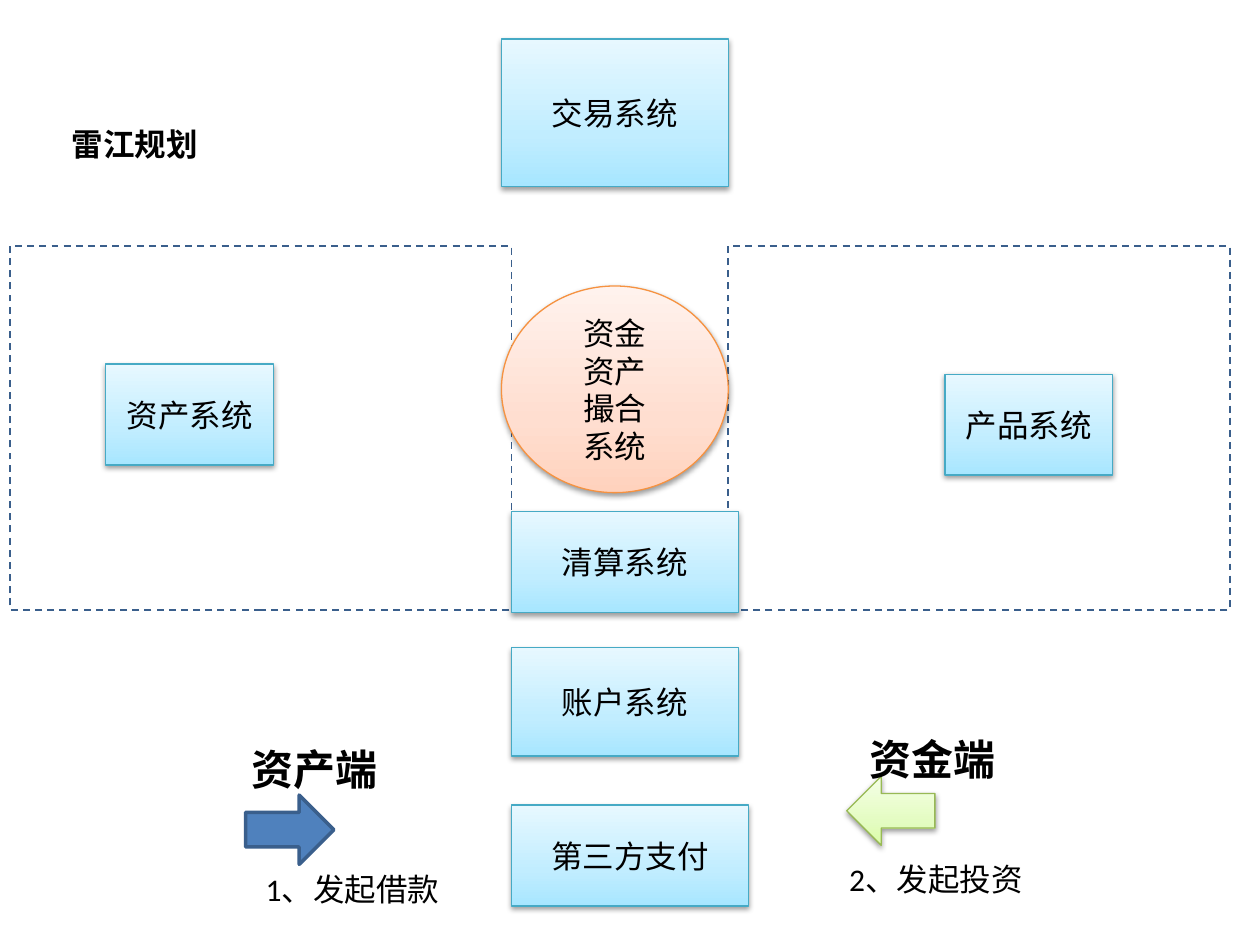
from copy import deepcopy

from lxml import etree
from pptx import Presentation
from pptx.dml.color import RGBColor
from pptx.enum.dml import MSO_LINE
from pptx.enum.shapes import MSO_SHAPE
from pptx.enum.text import MSO_ANCHOR, PP_ALIGN
from pptx.oxml.ns import qn
from pptx.util import Inches, Pt

RECTANGLE, ELLIPSE = MSO_SHAPE.RECTANGLE, MSO_SHAPE.OVAL
LEFT_ARROW, RIGHT_ARROW = MSO_SHAPE.LEFT_ARROW, MSO_SHAPE.RIGHT_ARROW
LEFT, CENTER = PP_ALIGN.LEFT, PP_ALIGN.CENTER
TOP, MIDDLE = MSO_ANCHOR.TOP, MSO_ANCHOR.MIDDLE
DASH = MSO_LINE.DASH

FONT = "Calibri"
WIDTH, HEIGHT = Inches(10), Inches(7.5)
COLUMN, ROW = WIDTH / 100, HEIGHT / 75

COLORS = {"text": "000000", "navy": "3A5F8C", "blue": "4F81BD",
          "aqua": "46AAC5", "orange": "F69240", "green": "98B955"}
GRADIENTS = {"aqua": ("A7E6FF", "C1EDFF", "E7F8FF"),
             "orange": ("FFD2BD", "FFDED0", "FFF2ED"),
             "green": ("DAFDA7", "E4FCC2", "F5FFE7")}
STOPS = (0, 0.35, 1)


def rgb(name):
    """Look up a named colour."""
    return RGBColor.from_string(COLORS[name])


def place(region, cell):
    """Turn a cell relative to a region into left, top, width, height."""
    left, top, width, height = cell
    return (round((region[0] + left) * COLUMN), round((region[1] + top) * ROW),
            round(width * COLUMN), round(height * ROW))


def write(shape, text, size=18, bold=False, align=LEFT, anchor=TOP, wrap=True):
    """Put formatted text in a shape, one paragraph per line."""
    frame = shape.text_frame
    frame.word_wrap, frame.vertical_anchor = wrap, anchor
    for index, line in enumerate(text.split("\n")):
        paragraph = frame.add_paragraph() if index else frame.paragraphs[0]
        paragraph.alignment = align
        run = paragraph.add_run()
        run.text = line
        run.font.name, run.font.size, run.font.bold = FONT, Pt(size), bold
        run.font.color.rgb = rgb("text")


def add_label(slide, region, cell, text, **style):
    """Add a text box."""
    write(slide.shapes.add_textbox(*place(region, cell)), text, **style)


def add_outline(slide, region, cell, kind, line, weight):
    """Add an unfilled preset shape with a coloured line."""
    shape = slide.shapes.add_shape(kind, *place(region, cell))
    shape.shadow.inherit = False
    shape.fill.background()
    shape.line.color.rgb, shape.line.width = rgb(line), Pt(weight)
    return shape


def add_glossy(slide, region, cell, kind, theme):
    """Add a shape with a vertical gradient and a soft drop shadow."""
    shape = add_outline(slide, region, cell, kind, theme, 0.75)
    shape.fill.gradient()
    shape.fill.gradient_angle = 90
    properties = shape._element.spPr
    stop_list = properties.find(".//" + qn("a:gsLst"))
    stop_list.insert(1, deepcopy(stop_list[0]))
    for stop, color, position in zip(shape.fill.gradient_stops, GRADIENTS[theme], STOPS):
        stop.color.rgb, stop.position = RGBColor.from_string(color), position
    shadow = etree.SubElement(properties.find(qn("a:effectLst")), qn("a:outerShdw"),
                              blurRad="40000", dist="20000", dir="5400000",
                              rotWithShape="0")
    color = etree.SubElement(shadow, qn("a:srgbClr"), val=COLORS["text"])
    etree.SubElement(color, qn("a:alpha"), val="38000")
    return shape


def add_system(slide, region, cell, text, kind=RECTANGLE, theme="aqua"):
    """Add a system block with a centred name."""
    write(add_glossy(slide, region, cell, kind, theme), text,
          align=CENTER, anchor=MIDDLE)


def add_panel(slide, region, name, left, top):
    """Add a dashed side panel holding one system."""
    panel = add_outline(slide, region, (0, 0, *region[2:]), RECTANGLE, "navy", 1)
    panel.line.dash_style = DASH
    add_system(slide, region, (left, top, 13.3, 8), name)


def add_core(slide, region):
    """Add the central column of systems."""
    add_system(slide, region, (0, 0, 18, 11.7), "交易系统")
    add_system(slide, region, (0, 19.6, 18, 16.4), "资金\n资产\n撮合\n系统",
               kind=ELLIPSE, theme="orange")
    for name, top, width, height in (("清算系统", 37.5, 18, 8),
                                     ("账户系统", 48.3, 18, 8.6),
                                     ("第三方支付", 60.8, 18.8, 8)):
        add_system(slide, region, (0.8, top, width, height), name)


def add_party(slide, region, title, note, title_left, note_left):
    """Add the heading and the note of one party."""
    add_label(slide, region, (title_left, 0, 12.2, 5), title,
              size=24, bold=True, wrap=False)
    add_label(slide, region, (note_left, 10.1, 15.9, 4), note)


def main():
    """Build and save the slide."""
    presentation = Presentation()
    presentation.slide_width, presentation.slide_height = WIDTH, HEIGHT
    slide = presentation.slides.add_slide(presentation.slide_layouts[6])

    add_panel(slide, (0.8, 19.5, 39.8, 28.9), "资产系统", 7.6, 9.4)
    add_panel(slide, (57.8, 19.5, 39.8, 28.9), "产品系统", 17.2, 10.2)
    add_core(slide, (39.8, 3.1, 19.6, 68.8))

    borrower, investor = (19, 58.5, 17, 14.1), (66.4, 57.7, 15.9, 14.1)
    arrow = add_outline(slide, borrower, (0.5, 4.6, 7, 5.5), RIGHT_ARROW, "navy", 2)
    arrow.fill.solid()
    arrow.fill.fore_color.rgb = rgb("blue")
    add_glossy(slide, investor, (0.8, 3.9, 7, 5.5), LEFT_ARROW, "green")
    add_party(slide, borrower, "资产端", "1、发起借款", 0, 1.1)
    add_party(slide, investor, "资金端", "2、发起投资", 1.6, 0)

    add_label(slide, (4.7, 9.4, 12.1, 4), (0, 0, 12.1, 4), "雷江规划",
              bold=True, wrap=False)
    presentation.save("out.pptx")


main()
